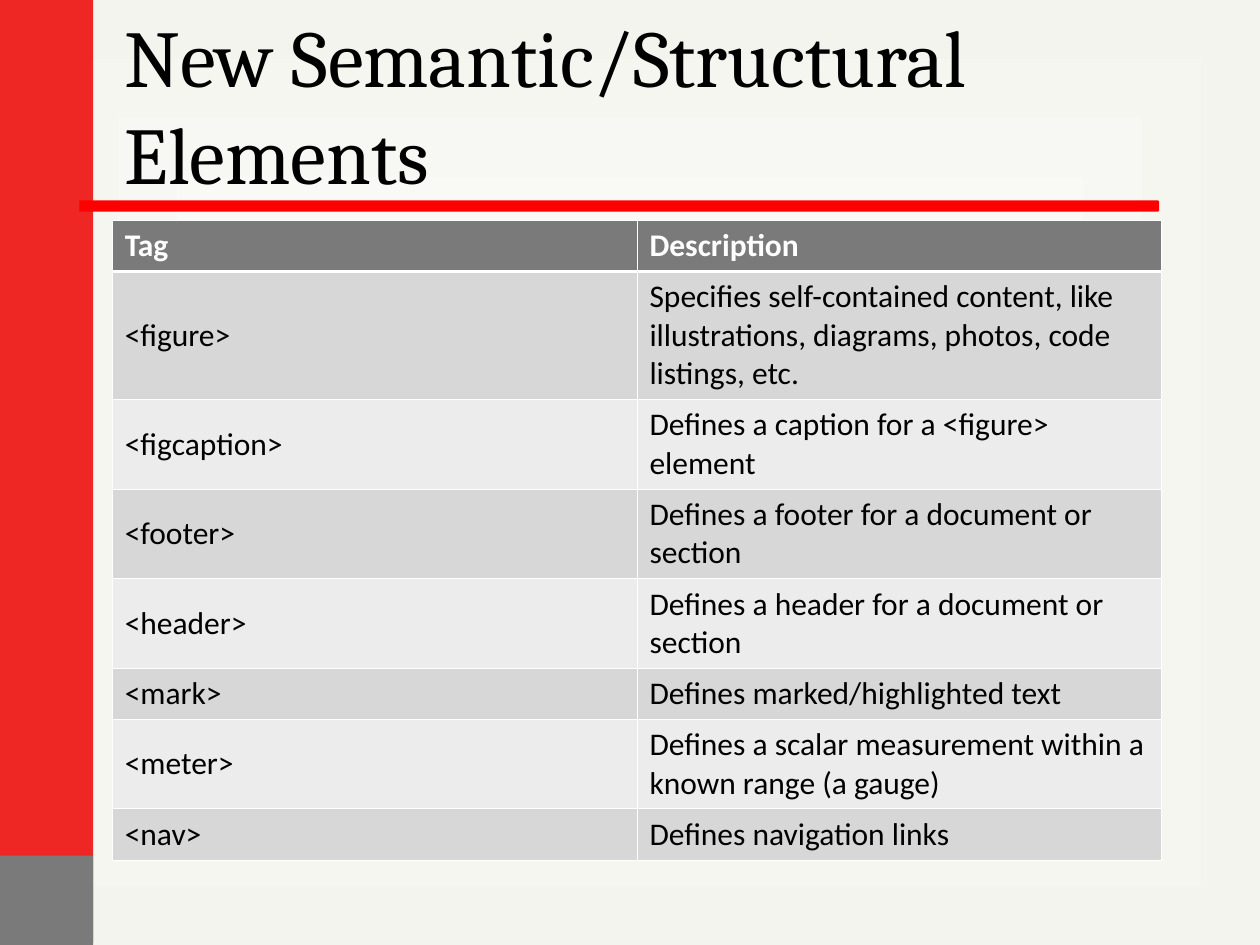
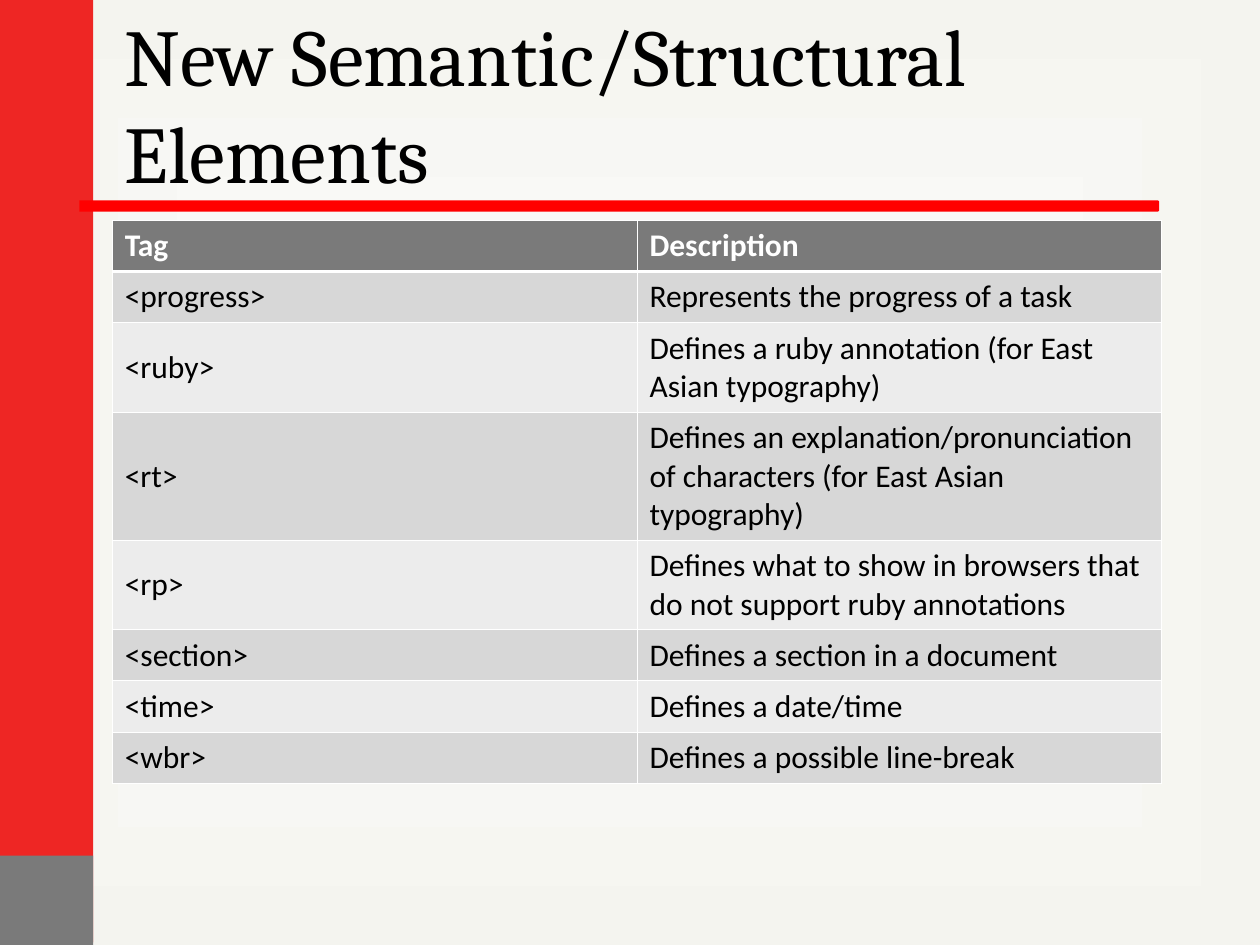
import pptx
import pptx.dml.color
import pptx.enum.shapes
import pptx.enum.text
import pptx.oxml
import pptx.oxml.ns
import pptx.util

RGB = pptx.dml.color.RGBColor
RED = RGB(0xEE, 0x26, 0x24)
RULE = RGB(0xFF, 0x00, 0x00)
GREY = RGB(0x7A, 0x7A, 0x7A)
DARK = RGB(0xD7, 0xD7, 0xD7)
PALE = RGB(0xEC, 0xEC, 0xEC)
WHITE = RGB(0xFF, 0xFF, 0xFF)
BLACK = RGB(0x00, 0x00, 0x00)
CREAM = RGB(0xF4, 0xF4, 0xEF)
COLS, ROWS = 100, 75
LEFT, WIDE = 8.9, 83.3
THIN, THICK = 0.45, 1.47
HEAD = "New Semantic/Structural Elements"

FIRST = [
    ("<figure>", "Specifies self-contained content, like illustrations, diagrams, photos, code listings, etc.", 3),
    ("<figcaption>", "Defines a caption for a <figure> element", 2),
    ("<footer>", "Defines a footer for a document or section", 2),
    ("<header>", "Defines a header for a document or section", 2),
    ("<mark>", "Defines marked/highlighted text", 1),
    ("<meter>", "Defines a scalar measurement within a known range (a gauge)", 2),
    ("<nav>", "Defines navigation links", 1),
]
NEXT = [
    ("<progress>", "Represents the progress of a task", 1),
    ("<ruby>", "Defines a ruby annotation (for East Asian typography)", 2),
    ("<rt>", "Defines an explanation/pronunciation of characters (for East Asian typography)", 3),
    ("<rp>", "Defines what to show in browsers that do not support ruby annotations", 2),
    ("<section>", "Defines a section in a document", 1),
    ("<time>", "Defines a date/time", 1),
    ("<wbr>", "Defines a possible line-break", 1),
]


class Deck:
    """Holds the shared style and the current slide."""

    def __init__(self):
        self.prs = pptx.Presentation()
        self.prs.slide_width = pptx.util.Inches(10)
        self.prs.slide_height = pptx.util.Inches(7.5)
        self.slide = None
        self.glow()

    def x(self, n):
        return round(self.prs.slide_width * n / COLS)

    def y(self, n):
        return round(self.prs.slide_height * n / ROWS)

    def box(self, left, top, wide, high):
        return self.x(left), self.y(top), self.x(wide), self.y(high)

    def glow(self):
        master = self.prs.slide_master
        master.background.fill.solid()
        old = master.element.find(".//" + pptx.oxml.ns.qn("p:bgPr"))[0]
        new = pptx.oxml.parse_xml(
            f'<a:gradFill {pptx.oxml.ns.nsdecls("a")} rotWithShape="1"><a:gsLst>'
            f'<a:gs pos="0"><a:srgbClr val="{WHITE}"/></a:gs>'
            f'<a:gs pos="100000"><a:srgbClr val="{CREAM}"><a:alpha val="70000"/></a:srgbClr></a:gs>'
            '</a:gsLst><a:path path="rect"><a:fillToRect l="50000" t="50000" r="50000" b="50000"/>'
            '</a:path></a:gradFill>')
        old.getparent().replace(old, new)

    def paint(self, shape, fill):
        shape.shadow.inherit = False
        shape.fill.solid()
        shape.fill.fore_color.rgb = fill
        shape.line.fill.background()

    def band(self, top, high, fill):
        kind = pptx.enum.shapes.MSO_SHAPE.RECTANGLE
        self.paint(self.slide.shapes.add_shape(kind, *self.box(-0.1, top, 7.5, high)), fill)

    def rule(self, left, top, right, low, cut):
        spots = [(right - cut, top), (right, top + cut), (right, low - cut),
                 (right - cut, low), (left, low)]
        pen = self.slide.shapes.build_freeform(self.x(left), self.y(top))
        pen.add_line_segments([(self.x(a), self.y(b)) for a, b in spots], close=True)
        self.paint(pen.convert_to_shape(), RULE)

    def title(self, text, top):
        shape = self.slide.shapes.title
        shape.left, shape.top, shape.width, shape.height = self.box(LEFT, top, WIDE, 12.5)
        frame = shape.text_frame
        frame.text = text
        frame.word_wrap = True
        frame.auto_size = pptx.enum.text.MSO_AUTO_SIZE.NONE
        frame.vertical_anchor = pptx.enum.text.MSO_ANCHOR.MIDDLE
        self.type(frame.paragraphs[0], "Cambria", 46, BLACK)

    def type(self, para, name, size, ink, bold=False):
        para.alignment = pptx.enum.text.PP_ALIGN.LEFT
        para.font.name = name
        para.font.size = pptx.util.Pt(size)
        para.font.color.rgb = ink
        para.font.bold = bold

    def edge(self, cell, **sides):
        props = cell._tc.get_or_add_tcPr()
        for spot, side in enumerate("LRTB"):
            width = pptx.util.Pt(sides.get(side, THIN))
            props.insert(spot, pptx.oxml.parse_xml(
                f'<a:ln{side} {pptx.oxml.ns.nsdecls("a")} w="{width}">'
                f'<a:solidFill><a:srgbClr val="{WHITE}"/></a:solidFill></a:ln{side}>'))

    def cell(self, cell, text, row):
        cell.text = text
        cell.vertical_anchor = pptx.enum.text.MSO_ANCHOR.MIDDLE
        cell.fill.solid()
        cell.fill.fore_color.rgb = GREY if row == 0 else (PALE, DARK)[row % 2]
        self.type(cell.text_frame.paragraphs[0], "Calibri", 18,
                  BLACK if row else WHITE, row == 0)
        self.edge(cell, **{0: {"B": THICK}, 1: {"T": THICK}}.get(row, {}))

    def table(self, items):
        data = [("Tag", "Description", 1), *items]
        highs = [1 + 3.05 * lines for *_, lines in data]
        grid = self.slide.shapes.add_table(
            len(data), 2, *self.box(LEFT, 17.5, WIDE, sum(highs))).table
        for row, (tag, about, _) in enumerate(data):
            grid.rows[row].height = self.y(highs[row])
            for col, text in enumerate((tag, about)):
                self.cell(grid.cell(row, col), text, row)

    def page(self, items, top):
        self.slide = self.prs.slides.add_slide(self.prs.slide_layouts[5])
        self.band(-0.2, 75, RED)
        self.band(67.9, 7.5, GREY)
        self.rule(6.3, 15.9, 92, 16.8, 0.1)
        self.title(HEAD, top)
        self.table(items)


def main():
    deck = Deck()
    deck.page(FIRST, 2)
    deck.page(NEXT, 1.9)
    deck.prs.save("out.pptx")


if __name__ == "__main__":
    main()
